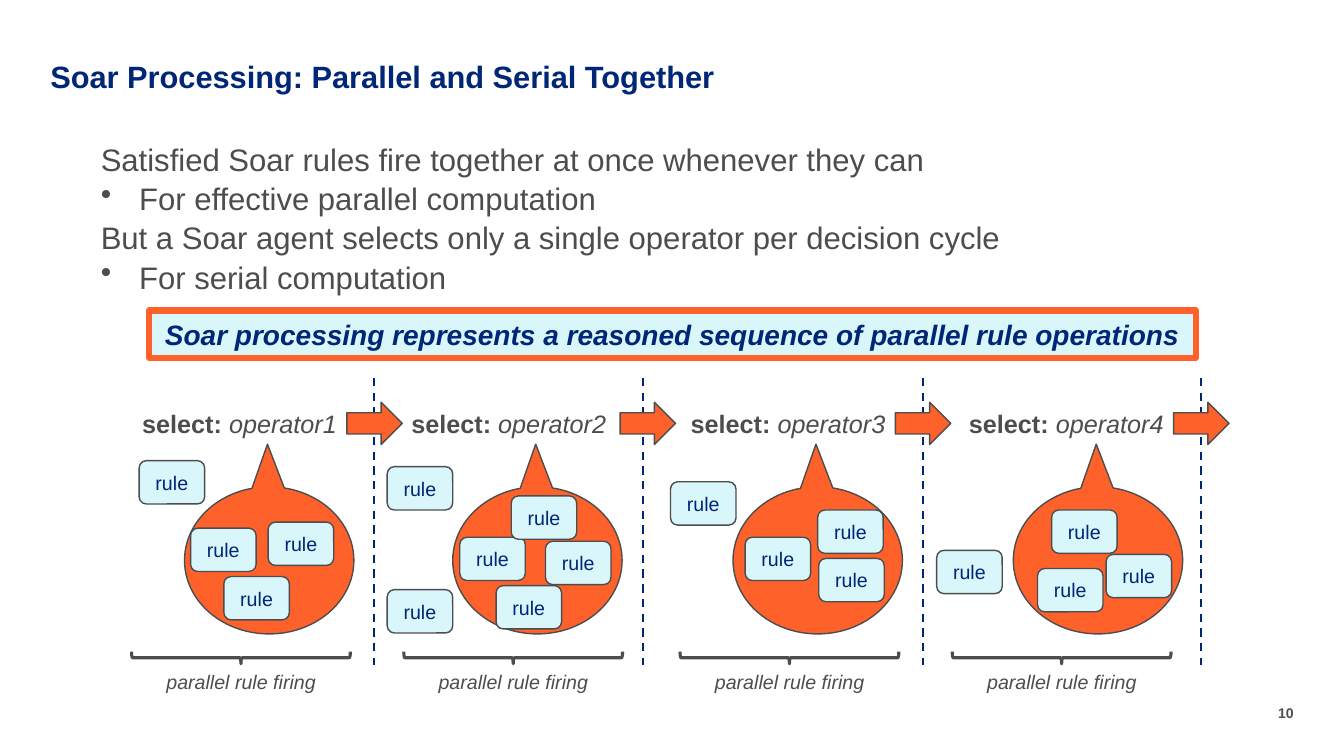
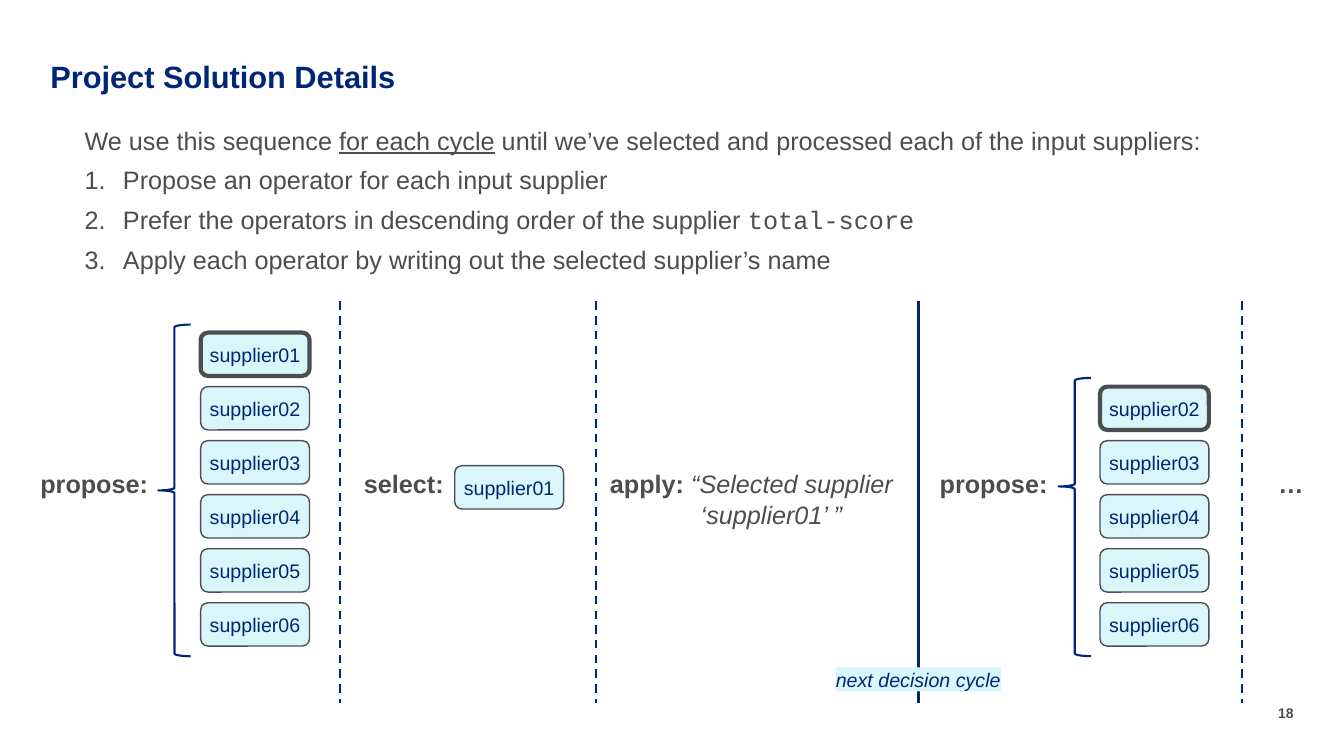
from dataclasses import dataclass
from typing import Optional, Sequence

from lxml.etree import SubElement
from pptx import Presentation
from pptx.dml.color import RGBColor
from pptx.enum.dml import MSO_LINE
from pptx.enum.shapes import MSO_CONNECTOR, MSO_SHAPE
from pptx.enum.text import MSO_ANCHOR, PP_ALIGN
from pptx.oxml.ns import qn
from pptx.shapes.autoshape import Shape
from pptx.slide import Slide
from pptx.text.text import TextFrame
from pptx.util import Inches, Pt


@dataclass(frozen=True)
class Theme:
    navy: RGBColor = RGBColor(0x00, 0x26, 0x77)
    gray: RGBColor = RGBColor(0x4B, 0x4D, 0x4F)
    orange: RGBColor = RGBColor(0xFF, 0x61, 0x2B)
    ice: RGBColor = RGBColor(0xD9, 0xF6, 0xFA)
    font: str = "Arial"
    code_font: str = "Courier New"
    title: float = 22
    lead: float = 22.2
    banner: float = 20
    text: float = 18
    small: float = 14
    footer: float = 10
    gap: float = 6.8


THEME = Theme()


@dataclass(frozen=True)
class Box:
    left: float
    top: float
    width: float
    height: float

    def lengths(self) -> tuple:
        return tuple(Inches(v) for v in (self.left, self.top, self.width, self.height))


@dataclass(frozen=True)
class Span:
    text: str
    bold: bool = False
    italic: bool = False
    underline: bool = False
    font: str = THEME.font


@dataclass(frozen=True)
class Line:
    spans: Sequence[Span]
    marker: str = ""
    indent: float = 0


@dataclass(frozen=True)
class Phase:
    operator: str
    label_left: float
    callout_left: float
    divider: float
    arrow_left: float
    brace_center: float
    rules: Sequence[tuple[float, float]]


@dataclass(frozen=True)
class Proposal:
    label_left: float
    brace: Box
    brace_point: float
    suppliers_left: float
    first: int


PHASES = (
    Phase("operator1", 1.41, 1.83, 3.71, 3.44, 2.39,
          ((1.38, 4.57), (2.66, 5.18), (1.89, 5.24), (2.22, 5.72))),
    Phase("operator2", 4.08, 4.49, 6.38, 6.15, 5.09,
          ((4.56, 5.33), (5.41, 5.37), (3.84, 5.85), (5.07, 4.92), (3.84, 4.63), (4.92, 5.81))),
    Phase("operator3", 6.85, 7.27, 9.15, 8.88, 7.83,
          ((7.39, 5.33), (8.12, 5.54), (8.11, 5.06), (6.65, 4.78))),
    Phase("operator4", 9.61, 10.05, 11.91, 11.64, 10.53,
          ((9.29, 5.46), (10.43, 5.06), (10.97, 5.5), (10.29, 5.64))),
)

PROPOSALS = (
    Proposal(0.4, Box(1.57, 3.22, 0.32, 3.29), 0.5, 1.99, 1),
    Proposal(9.32, Box(10.5, 3.75, 0.32, 2.76), 0.39, 10.91, 2),
)
SUPPLIER_COUNT = 6
SUPPLIER_TOP, SUPPLIER_BOTTOM = 3.3, 5.98
SUPPLIER_PITCH = (SUPPLIER_BOTTOM - SUPPLIER_TOP) / (SUPPLIER_COUNT - 1)


def write(frame: TextFrame, lines: Sequence[Line], size: float, color: RGBColor,
          align: PP_ALIGN = PP_ALIGN.LEFT, spacing: Optional[float] = None,
          gap: float = 0, wrap: bool = False, side: float = 0, edge: float = 0) -> None:
    frame.word_wrap = wrap
    frame.margin_left = frame.margin_right = Inches(side)
    frame.margin_top = frame.margin_bottom = Inches(edge)
    for index, line in enumerate(lines):
        paragraph = frame.add_paragraph() if index else frame.paragraphs[0]
        properties = paragraph._p.get_or_add_pPr()
        if line.indent:
            properties.set("marL", str(Inches(line.indent)))
        if line.marker:
            properties.set("indent", str(-Inches(line.indent)))
            if line.marker == "1.":
                SubElement(properties, qn("a:buAutoNum"), type="arabicPeriod")
            else:
                SubElement(properties, qn("a:buChar"), char=line.marker)
        paragraph.alignment = align
        if spacing:
            paragraph.line_spacing = spacing
        if index and gap:
            paragraph.space_before = Pt(gap)
        for span in line.spans:
            run = paragraph.add_run()
            run.text = span.text
            run.font.name = span.font
            run.font.size = Pt(size)
            run.font.color.rgb = color
            run.font.bold = span.bold
            run.font.italic = span.italic
            run.font.underline = span.underline


def add_text(slide: Slide, box: Box, lines: Sequence[Line], size: float = THEME.text,
             color: RGBColor = THEME.gray, align: PP_ALIGN = PP_ALIGN.LEFT,
             spacing: Optional[float] = None, gap: float = 0, wrap: bool = False) -> None:
    frame = slide.shapes.add_textbox(*box.lengths()).text_frame
    write(frame, lines, size, color, align, spacing, gap, wrap)


def add_figure(slide: Slide, kind: MSO_SHAPE, box: Box, fill: Optional[RGBColor] = None,
               outline: Optional[RGBColor] = THEME.gray, weight: float = 1) -> Shape:
    figure = slide.shapes.add_shape(kind, *box.lengths())
    figure.shadow.inherit = False
    if fill is None:
        figure.fill.background()
    else:
        figure.fill.solid()
        figure.fill.fore_color.rgb = fill
    if outline is None:
        figure.line.fill.background()
    else:
        figure.line.color.rgb = outline
        figure.line.width = Pt(weight)
    return figure


def add_card(slide: Slide, box: Box, caption: str, weight: float = 1) -> None:
    card = add_figure(slide, MSO_SHAPE.ROUNDED_RECTANGLE, box, THEME.ice, weight=weight)
    card.text_frame.vertical_anchor = MSO_ANCHOR.MIDDLE
    write(card.text_frame, [Line([Span(caption)])], THEME.small, THEME.navy,
          PP_ALIGN.CENTER, wrap=True, edge=0.05)


def add_divider(slide: Slide, x: float, top: float, bottom: float, dashed: bool = True) -> None:
    divider = slide.shapes.add_connector(
        MSO_CONNECTOR.STRAIGHT, Inches(x), Inches(top), Inches(x), Inches(bottom))
    divider.line.color.rgb = THEME.navy
    divider.line.width = Pt(1.5 if dashed else 2.25)
    if dashed:
        divider.line.dash_style = MSO_LINE.DASH
    SubElement(divider._element.spPr, qn("a:effectLst"))


def add_page(deck: Presentation, title: str, number: str) -> Slide:
    slide = deck.slides.add_slide(deck.slide_layouts[6])
    add_text(slide, Box(12.66, 6.99, 0.17, 0.17), [Line([Span(number, bold=True)])],
             THEME.footer, align=PP_ALIGN.RIGHT)
    add_text(slide, Box(0.5, 0.61, 10.5, 0.33), [Line([Span(title, bold=True)])],
             THEME.title, THEME.navy, spacing=0.9, wrap=True)
    return slide


def draw_phase(slide: Slide, phase: Phase) -> None:
    callout = add_figure(slide, MSO_SHAPE.OVAL_CALLOUT,
                         Box(phase.callout_left, 4.83, 1.68, 1.46), THEME.orange)
    callout.adjustments[0] = -0.01
    callout.adjustments[1] = -0.79
    add_text(slide, Box(phase.label_left, 4.05, 1.95, 0.3),
             [Line([Span("select: ", bold=True), Span(phase.operator, italic=True)])])
    add_divider(slide, phase.divider, 3.75, 6.6)
    add_figure(slide, MSO_SHAPE.RIGHT_ARROW, Box(phase.arrow_left, 3.99, 0.55, 0.42), THEME.orange)
    for left, top in phase.rules:
        add_card(slide, Box(left, top, 0.65, 0.43), "rule")
    brace = add_figure(slide, MSO_SHAPE.LEFT_BRACE,
                       Box(phase.brace_center - 0.06, 5.44, 0.12, 2.17), weight=2.25)
    brace.rotation = 270
    add_text(slide, Box(phase.brace_center - 0.74, 6.65, 1.49, 0.24),
             [Line([Span("parallel rule firing", italic=True)])], THEME.small)


def draw_proposal(slide: Slide, proposal: Proposal) -> None:
    add_text(slide, Box(proposal.label_left, 4.65, 1.08, 0.3),
             [Line([Span("propose:", bold=True)])])
    brace = add_figure(slide, MSO_SHAPE.LEFT_BRACE, proposal.brace,
                       outline=THEME.navy, weight=1.5)
    brace.adjustments[1] = proposal.brace_point
    for number in range(proposal.first, SUPPLIER_COUNT + 1):
        top = SUPPLIER_TOP + (number - 1) * SUPPLIER_PITCH
        add_card(slide, Box(proposal.suppliers_left, top, 1.08, 0.43),
                 f"supplier{number:02}", 3 if number == proposal.first else 1)


def build_processing(deck: Presentation) -> None:
    slide = add_page(deck, "Soar Processing: Parallel and Serial Together", "10")
    add_text(slide, Box(1, 1.46, 11.33, 1.55), [
        Line([Span("Satisfied Soar rules fire together at once whenever they can")]),
        Line([Span("For effective parallel computation")], "•", 0.38),
        Line([Span("But a Soar agent selects only a single operator per decision cycle")]),
        Line([Span("For serial computation")], "•", 0.38),
    ], THEME.lead, spacing=0.8, gap=THEME.gap, wrap=True)
    for phase in PHASES:
        draw_phase(slide, phase)
    banner = add_figure(slide, MSO_SHAPE.RECTANGLE, Box(1.48, 3.08, 10.38, 0.47),
                        THEME.ice, THEME.orange, 4.5)
    banner.text_frame.vertical_anchor = MSO_ANCHOR.MIDDLE
    message = "Soar processing represents a reasoned sequence of parallel rule operations"
    write(banner.text_frame, [Line([Span(message, bold=True, italic=True)])],
          THEME.banner, THEME.navy, PP_ALIGN.CENTER, wrap=True, side=0.1, edge=0.05)


def build_solution(deck: Presentation) -> None:
    slide = add_page(deck, "Project Solution Details", "18")
    add_text(slide, Box(0.84, 1.24, 11.66, 1.52), [
        Line([Span("We use this sequence "), Span("for each cycle", underline=True),
              Span(" until we’ve selected and processed each of the input suppliers:")]),
        Line([Span("Propose an operator for each input supplier")], "1.", 0.38),
        Line([Span("Prefer the operators in descending order of the supplier "),
              Span("total-score", font=THEME.code_font)], "1.", 0.38),
        Line([Span("Apply each operator by writing out the selected supplier’s name")], "1.", 0.38),
    ], gap=THEME.gap, wrap=True)
    for proposal in PROPOSALS:
        draw_proposal(slide, proposal)
    add_text(slide, Box(3.61, 4.65, 0.8, 0.3), [Line([Span("select:", bold=True)])])
    add_card(slide, Box(4.51, 4.62, 1.08, 0.43), "supplier01")
    add_text(slide, Box(6.05, 4.65, 3.06, 0.61), [
        Line([Span("apply: ", bold=True), Span("“Selected supplier", italic=True)]),
        Line([Span("‘supplier01’ ”", italic=True)], indent=0.9),
    ], wrap=True)
    add_text(slide, Box(12.68, 4.65, 0.25, 0.3), [Line([Span("…", bold=True)])])
    for x, dashed in ((3.37, True), (5.91, True), (9.11, False), (12.32, True)):
        add_divider(slide, x, 2.99, 6.97, dashed)
    cycle = add_figure(slide, MSO_SHAPE.RECTANGLE, Box(8.29, 6.62, 1.64, 0.24), THEME.ice, None)
    write(cycle.text_frame, [Line([Span("next decision cycle", italic=True)])],
          THEME.small, THEME.navy)


def main() -> None:
    deck = Presentation()
    deck.slide_width = Inches(13.33)
    deck.slide_height = Inches(7.5)
    build_processing(deck)
    build_solution(deck)
    deck.save("out.pptx")


if __name__ == "__main__":
    main()
